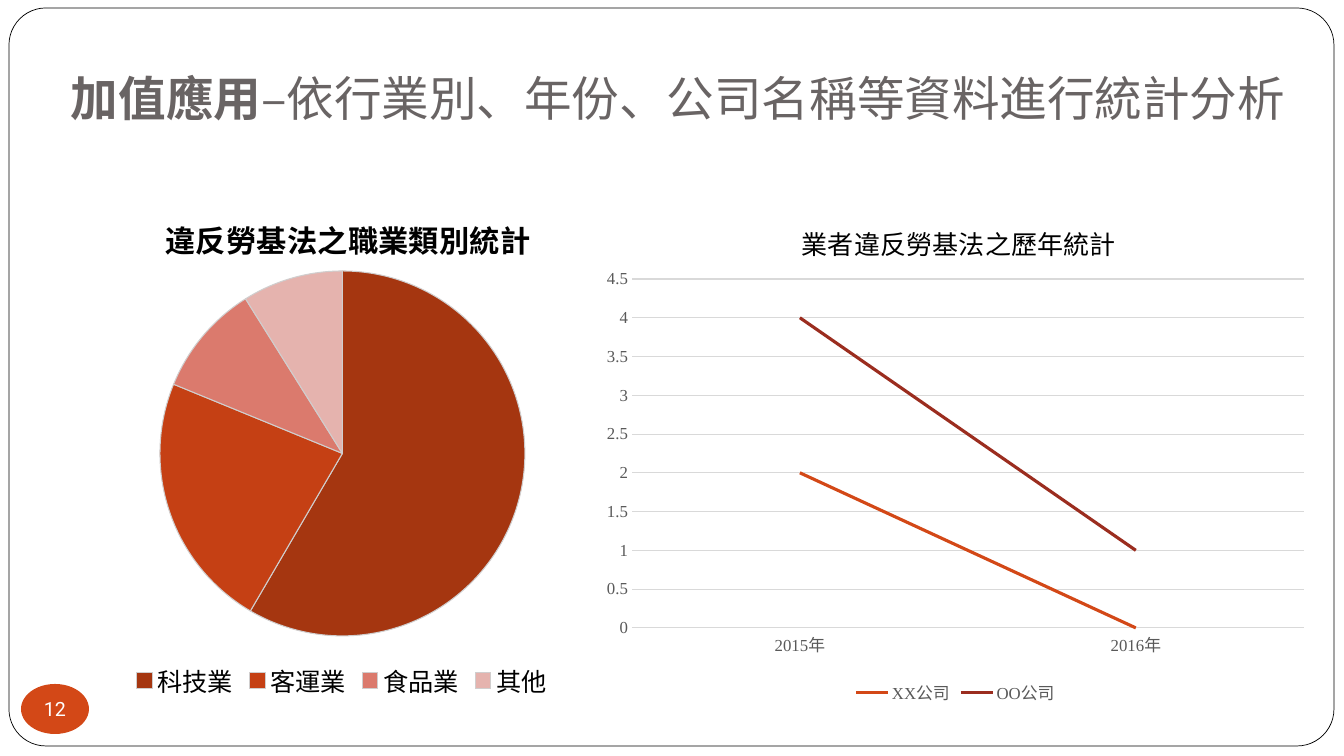
import pptx
import pptx.util
import pptx.chart.data
import pptx.dml.color
import pptx.enum.chart
import pptx.enum.shapes
import pptx.enum.text
import pptx.oxml
import pptx.oxml.ns

PX = 914400 / 100.8
COLORS = {
    "white": "FFFFFF", "black": "000000", "title": "696464",
    "orange": "D34817", "maroon": "9B2D1F",
    "axis": "595959", "grid": "D9D9D9", "slice edge": "D0CECE",
}
SLICE_COLORS = ["A53610", "C54014", "DB7A6D", "E5B3AE"]
HAN, SERIF, SANS = "Noto Sans CJK SC", "Times New Roman", "Roboto"
CHART_TYPE = pptx.enum.chart.XL_CHART_TYPE
TICK = pptx.enum.chart.XL_TICK_MARK


def px(*lengths):
    return [pptx.util.Emu(round(length * PX)) for length in lengths]


def rgb(color):
    return pptx.dml.color.RGBColor.from_string(COLORS.get(color, color))


def set_font(font, size, color, latin=HAN, bold=False):
    font.size, font.bold = pptx.util.Pt(size), bold
    font.color.rgb = rgb(color)
    font.name = latin
    east_asian = pptx.oxml.parse_xml(
        f'<a:ea {pptx.oxml.ns.nsdecls("a")} typeface="{HAN}"/>')
    font._element.find(pptx.oxml.ns.qn("a:latin")).addnext(east_asian)


def set_line(line, color, width):
    line.color.rgb = rgb(color)
    line.width = pptx.util.Pt(width)


def add_run(para, text, *font):
    span = para.add_run()
    span.text = text
    set_font(span.font, *font)


def add_filled_shape(page, kind, box, fill):
    shape = page.shapes.add_shape(kind, *px(*box))
    shape.shadow.inherit = False
    shape.fill.solid()
    shape.fill.fore_color.rgb = rgb(fill)
    return shape


def place(parent, index, frame, box, inner=False):
    """Fix a chart part at a slide position given in px."""
    for old in parent.findall(pptx.oxml.ns.qn("c:layout")):
        parent.remove(old)
    left, top, width, height = frame
    values = {"x": (box[0] - left) / width, "y": (box[1] - top) / height}
    if inner:
        values.update(w=box[2] / width, h=box[3] / height)
    tags = '<c:layoutTarget val="inner"/>' if inner else ""
    tags += '<c:xMode val="edge"/><c:yMode val="edge"/>'
    tags += "".join(f'<c:{key} val="{value:.4f}"/>' for key, value in values.items())
    parent.insert(index, pptx.oxml.parse_xml(
        f'<c:layout {pptx.oxml.ns.nsdecls("c")}>'
        f'<c:manualLayout>{tags}</c:manualLayout></c:layout>'))


def add_chart(page, kind, frame, categories, series, title, title_font, title_at, plot_box):
    data = pptx.chart.data.CategoryChartData()
    data.categories = categories
    for name, values in series.items():
        data.add_series(name, values)
    chart = page.shapes.add_chart(kind, *px(*frame), data).chart
    set_font(chart.font, 10, "black", SERIF)
    chart.has_title = True
    add_run(chart.chart_title.text_frame.paragraphs[0], title, *title_font)
    chart.chart_title.include_in_layout = False
    place(chart.chart_title._element, 1, frame, title_at)
    place(chart._chartSpace.chart.plotArea, 0, frame, plot_box, inner=True)
    chart.has_legend = True
    chart.legend.position = pptx.enum.chart.XL_LEGEND_POSITION.BOTTOM
    chart.legend.include_in_layout = False
    return chart


def add_industry_pie(page):
    title = "違反勞基法之職業類別統計"
    chart = add_chart(
        page, CHART_TYPE.PIE, (37, 179, 610, 525),
        ["科技業", "客運業", "食品業", "其他"], {title: [59, 23, 10, 9]},
        title, (21.6, "black", HAN, True), (160, 208), (160, 271, 365, 365))
    set_font(chart.legend.font, 18, "black")
    chart.plots[0].vary_by_categories = True
    for index, color in enumerate(SLICE_COLORS):
        piece = chart.plots[0].series[0].points[index].format
        piece.fill.solid()
        piece.fill.fore_color.rgb = rgb(color)
        set_line(piece.line, "slice edge", 0.75)


def add_yearly_lines(page):
    chart = add_chart(
        page, CHART_TYPE.LINE_STACKED, (592, 191, 727, 518),
        ["2015年", "2016年"], {"XX公司": [2, 0], "OO公司": [2, 1]},
        "業者違反勞基法之歷年統計", (18.6, "black"), (797, 216), (632, 279, 672, 349))
    set_font(chart.legend.font, 12, "axis", SERIF)
    for series, color in zip(chart.plots[0].series, ["orange", "maroon"]):
        series.smooth = False
        set_line(series.format.line, color, 2.25)
    for axis in (chart.category_axis, chart.value_axis):
        axis.major_tick_mark = axis.minor_tick_mark = TICK.NONE
        set_font(axis.tick_labels.font, 12, "axis", SERIF)
    set_line(chart.category_axis.format.line, "grid", 0.75)
    values = chart.value_axis
    values.format.line.fill.background()
    values.minimum_scale, values.maximum_scale, values.major_unit = 0, 4.5, 0.5
    set_line(values.major_gridlines.format.line, "grid", 0.75)


def add_page_number(page, number):
    kind = pptx.enum.shapes.MSO_SHAPE.OVAL
    badge = add_filled_shape(page, kind, (21, 684, 68, 50), "orange")
    badge.line.fill.background()
    frame = badge.text_frame
    frame.margin_left = frame.margin_right = frame.margin_top = frame.margin_bottom = 0
    frame.word_wrap = False
    frame.vertical_anchor = pptx.enum.text.MSO_ANCHOR.MIDDLE
    para = frame.paragraphs[0]
    para.alignment = pptx.enum.text.PP_ALIGN.CENTER
    add_run(para, number, 14, "white", SANS)


def write_title(page):
    title = page.shapes.title
    title.left, title.top, title.width, title.height = px(61, 24, 1265, 112)
    frame = title.text_frame
    frame.auto_size = pptx.enum.text.MSO_AUTO_SIZE.NONE
    frame.word_wrap = True
    frame.vertical_anchor = pptx.enum.text.MSO_ANCHOR.BOTTOM
    frame.margin_left, frame.margin_top, frame.margin_right, frame.margin_bottom = px(10, 5, 10, 10)
    para = frame.paragraphs[0]
    para.alignment = pptx.enum.text.PP_ALIGN.LEFT
    add_run(para, "加值應用", 34, "title", HAN, True)
    add_run(para, "–依行業別、年份、公司名稱等資料進行統計分析", 34, "title")


def main():
    deck = pptx.Presentation()
    deck.slide_width, deck.slide_height = px(1344, 756)
    page = deck.slides.add_slide(deck.slide_layouts[5])

    # Rounded page border, behind the title
    kind = pptx.enum.shapes.MSO_SHAPE.ROUNDED_RECTANGLE
    border = add_filled_shape(page, kind, (9, 8, 1325, 738), "white")
    border.adjustments[0] = 0.05
    set_line(border.line, "black", 0.5)
    page.shapes.title._element.addprevious(border._element)

    # Title, page number and charts
    write_title(page)
    add_page_number(page, "12")
    add_industry_pie(page)
    add_yearly_lines(page)
    deck.save("out.pptx")


if __name__ == "__main__":
    main()
